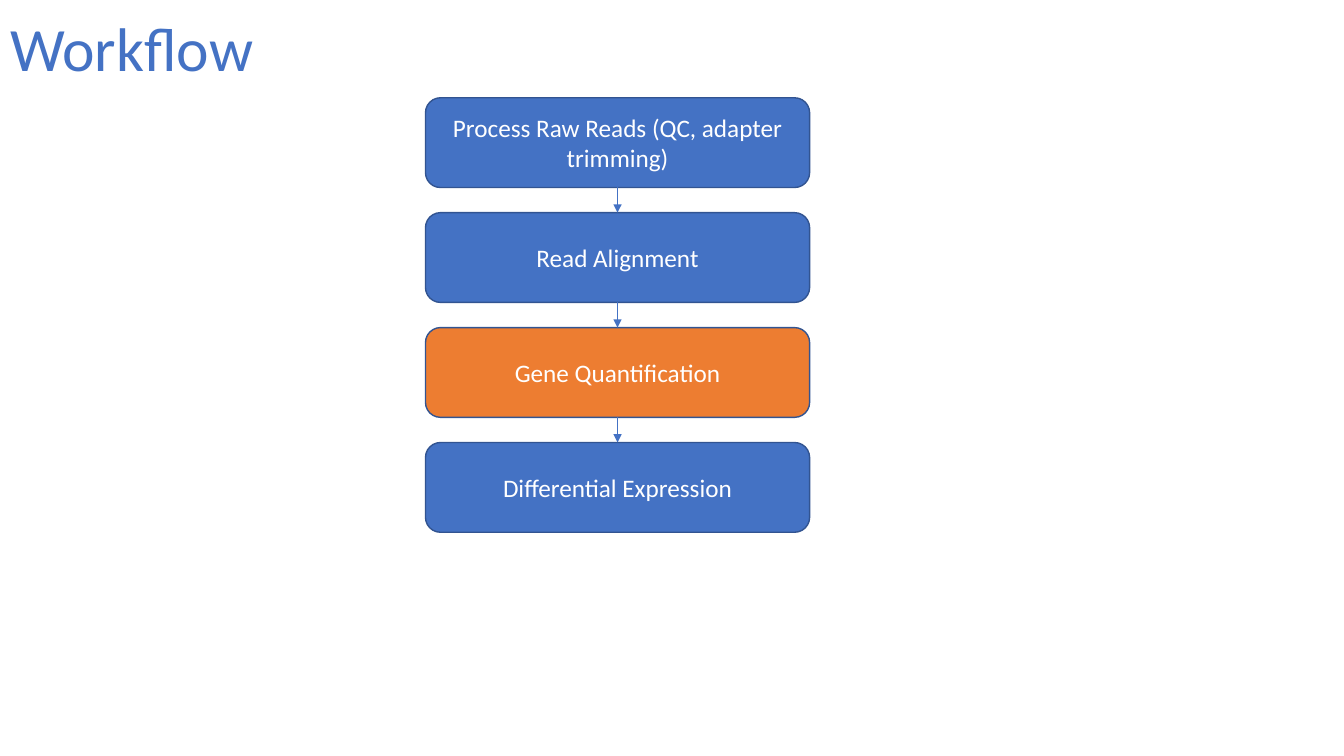
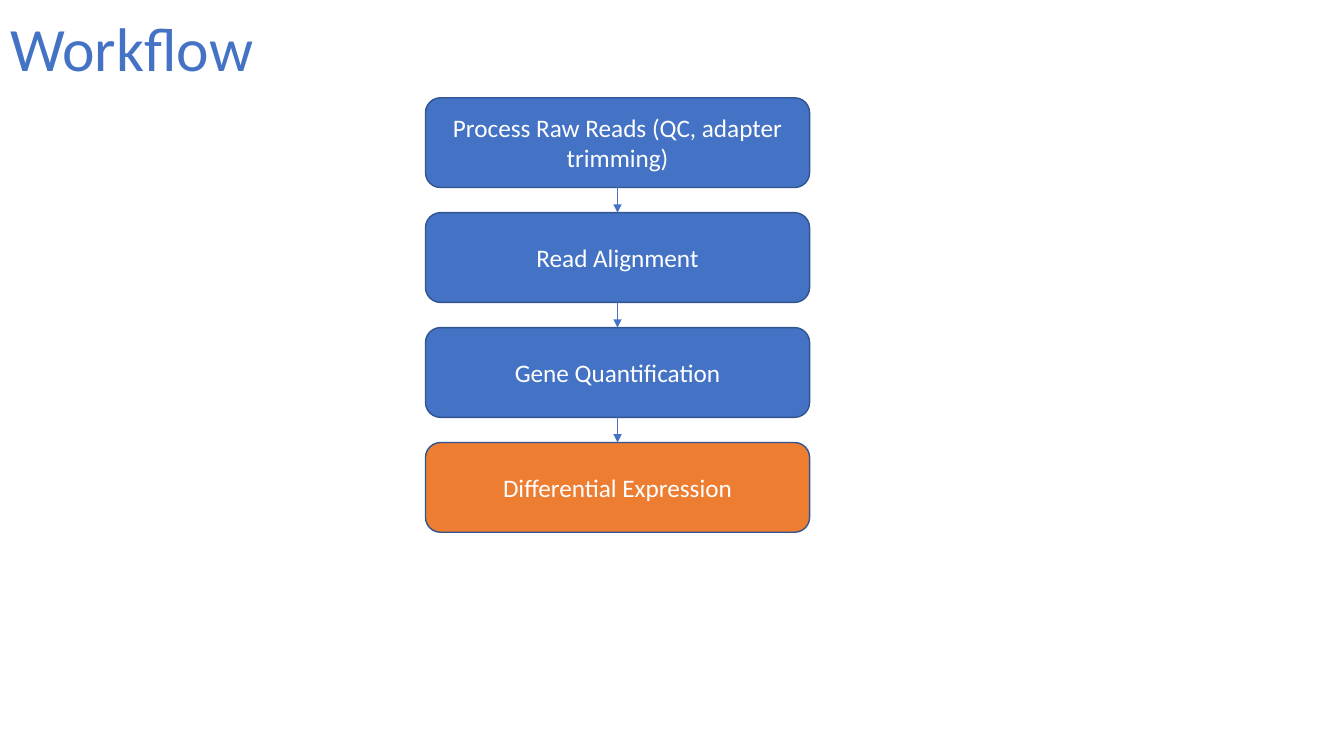
from pptx import Presentation
from pptx.dml.color import RGBColor
from pptx.enum.shapes import MSO_CONNECTOR, MSO_SHAPE
from pptx.enum.text import MSO_ANCHOR, PP_ALIGN
from pptx.oxml.ns import qn
from pptx.util import Inches, Pt
from lxml import etree

COLORS = {"blue": "4472C4", "orange": "ED7D31", "outline": "325491", "white": "FFFFFF"}
FONT = "Calibri"
STEPS = ["Process Raw Reads (QC, adapter trimming)", "Read Alignment",
         "Gene Quantification", "Differential Expression"]
HIGHLIGHTS = ["Gene Quantification", "Differential Expression"]  # one slide each
BOX_LEFT, BOX_TOP, BOX_W, BOX_H, GAP = 4.22, 0.97, 3.81, 0.89, 0.25


def rgb(name):
    return RGBColor.from_string(COLORS[name])


def style_text(tf, size, color, align):
    tf.word_wrap = True
    tf.vertical_anchor = MSO_ANCHOR.MIDDLE
    p = tf.paragraphs[0]
    p.alignment = align
    p.font.name = FONT
    p.font.size = Pt(size)
    p.font.color.rgb = rgb(color)


prs = Presentation()
prs.slide_width, prs.slide_height = Inches(13.33), Inches(7.5)

for highlight in HIGHLIGHTS:
    s = prs.slides.add_slide(prs.slide_layouts[5])
    title = s.shapes.title
    title.left, title.top = Inches(0), Inches(0.05)
    title.width, title.height = Inches(11.5), Inches(0.92)
    title.text_frame.text = "Workflow"
    style_text(title.text_frame, 44, "blue", PP_ALIGN.LEFT)
    title.text_frame.paragraphs[0].line_spacing = 0.9

    boxes = []
    for i, step in enumerate(STEPS):
        box = s.shapes.add_shape(
            MSO_SHAPE.ROUNDED_RECTANGLE, Inches(BOX_LEFT),
            Inches(BOX_TOP + i * (BOX_H + GAP)), Inches(BOX_W), Inches(BOX_H))
        box.shadow.inherit = False
        box.fill.solid()
        box.fill.fore_color.rgb = rgb("orange" if step == highlight else "blue")
        box.line.color.rgb = rgb("outline")
        box.line.width = Pt(1)
        box.text_frame.text = step
        style_text(box.text_frame, 18, "white", PP_ALIGN.CENTER)
        boxes.append(box)

    for upper, lower in zip(boxes, boxes[1:]):
        arrow = s.shapes.add_connector(MSO_CONNECTOR.STRAIGHT, 0, 0, 0, 0)
        arrow.begin_connect(upper, 2)
        arrow.end_connect(lower, 0)
        arrow.line.color.rgb = rgb("blue")
        arrow.line.width = Pt(0.5)
        etree.SubElement(arrow.line._get_or_add_ln(), qn("a:tailEnd"), type="triangle")
        etree.SubElement(arrow._element.spPr, qn("a:effectLst"))

prs.save("out.pptx")
